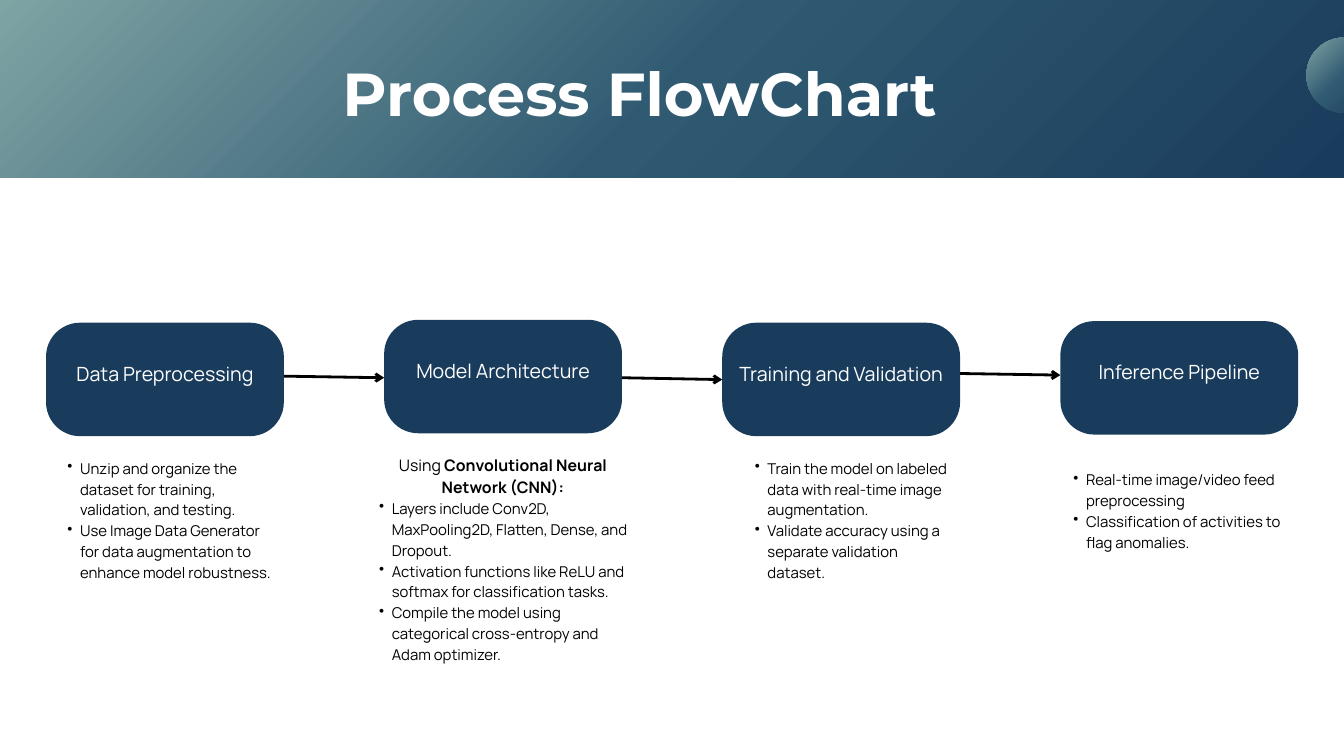
from copy import deepcopy
from dataclasses import dataclass

from lxml import etree
from pptx import Presentation
from pptx.dml.color import RGBColor
from pptx.enum.shapes import MSO_CONNECTOR, MSO_SHAPE
from pptx.enum.text import MSO_ANCHOR, PP_ALIGN
from pptx.oxml.ns import qn
from pptx.util import Cm, Pt

RECTANGLE, ROUNDED, OVAL = MSO_SHAPE.RECTANGLE, MSO_SHAPE.ROUNDED_RECTANGLE, MSO_SHAPE.OVAL
STRAIGHT = MSO_CONNECTOR.STRAIGHT
MIDDLE, TOP = MSO_ANCHOR.MIDDLE, MSO_ANCHOR.TOP
CENTER, LEFT = PP_ALIGN.CENTER, PP_ALIGN.LEFT


@dataclass(frozen=True)
class Theme:
    navy: RGBColor = RGBColor(0x1A, 0x3C, 0x5C)
    teal: RGBColor = RGBColor(0x30, 0x5A, 0x72)
    sage: RGBColor = RGBColor(0x7F, 0xA4, 0xA4)
    white: RGBColor = RGBColor(255, 255, 255)
    black: RGBColor = RGBColor(0, 0, 0)
    heading_font: str = "Montserrat"
    body_font: str = "Manrope"
    title: float = 65
    step: float = 21
    intro: float = 17
    detail: float = 16


theme = Theme()


def prepare_frame(shape, anchor=TOP, bottom=0):
    frame = shape.text_frame
    layout = dict(word_wrap=True, vertical_anchor=anchor, margin_left=0,
                  margin_right=0, margin_top=0, margin_bottom=Cm(bottom))
    for name, value in layout.items():
        setattr(frame, name, value)
    return frame


def write(paragraph, runs, size, color, spacing, font=theme.body_font, align=CENTER):
    paragraph.alignment = align
    paragraph.line_spacing = Pt(spacing)
    for text, bold in runs:
        run = paragraph.add_run()
        run.text = text
        for name, value in dict(name=font, size=Pt(size), bold=bold).items():
            setattr(run.font, name, value)
        run.font.color.rgb = color


prs = Presentation()
prs.slide_width, prs.slide_height = Cm(50.8), Cm(28.58)
slide = prs.slides.add_slide(prs.slide_layouts[6])
shapes = slide.shapes

for kind, *place in [(RECTANGLE, 0, 0, 50.8, 6.73), (OVAL, 49.38, 1.42, 2.84, 2.84)]:
    banner = shapes.add_shape(kind, *map(Cm, place))
    banner.shadow.inherit = False
    banner.line.fill.background()
    banner.fill.gradient()
    banner.fill.gradient_angle = 315
    stop_list = banner.fill._fill._gradFill.find(qn("a:gsLst"))
    stop_list.insert(1, deepcopy(stop_list[0]))
    stops = zip(banner.fill.gradient_stops, (0, 0.5, 1), (theme.sage, theme.teal, theme.navy))
    for stop, position, color in stops:
        stop.position = position
        stop.color.rgb = color

title = shapes.add_textbox(Cm(12.9), Cm(2.31), Cm(22.56), Cm(2.62))
write(prepare_frame(title).paragraphs[0], [("Process FlowChart", True)],
      theme.title, theme.white, 72.8, theme.heading_font)

first_left, step_pitch, step_width, step_height = 1.74, 12.78, 8.99, 4.29
steps = [
    ("Data Preprocessing", 12.2),
    ("Model Architecture", 12.09),
    ("Training and Validation", 12.2),
    ("Inference Pipeline", 12.14),
]
for index, (label, top) in enumerate(steps):
    left = first_left + index * step_pitch
    step = shapes.add_shape(ROUNDED, Cm(left), Cm(top), Cm(step_width), Cm(step_height))
    step.adjustments[0] = 0.3
    step.shadow.inherit = False
    step.fill.solid()
    step.fill.fore_color.rgb = theme.navy
    step.line.fill.background()
    write(prepare_frame(step, MIDDLE, 0.62).paragraphs[0], [(label, None)],
          theme.step, theme.white, 29.4)

for index, (start, end) in enumerate([(14.22, 14.28), (14.28, 14.35), (14.12, 14.18)]):
    left = first_left + index * step_pitch
    arrow = shapes.add_connector(STRAIGHT, Cm(left + step_width), Cm(start),
                                 Cm(left + step_pitch), Cm(end))
    arrow.line.color.rgb = theme.black
    arrow.line.width = Pt(3)
    etree.SubElement(arrow.line._get_or_add_ln(), qn("a:tailEnd"), type="arrow")
    etree.SubElement(arrow._element.spPr, qn("a:effectLst"))

details = [
    ((2.06, 17.25, 8.33, 6.93), [], [
        "Unzip and organize the dataset for training, validation, and testing.",
        "Use Image Data Generator for data augmentation to enhance model robustness.",
    ]),
    ((13.84, 17.09, 10.34, 8.59),
     [("Using ", None), ("Convolutional Neural Network (CNN):", True)], [
        "Layers include Conv2D, MaxPooling2D, Flatten, Dense, and Dropout.",
        "Activation functions like ReLU and softmax for classification tasks.",
        "Compile the model using categorical cross-entropy and Adam optimizer.",
    ]),
    ((28.04, 17.25, 8.15, 5.38), [], [
        "Train the model on labeled data with real-time image augmentation.",
        "Validate accuracy using a separate validation dataset.",
    ]),
    ((40.08, 17.68, 8.69, 3.1), [], [
        "Real-time image/video feed preprocessing",
        "Classification of activities to flag anomalies.",
    ]),
]
for place, intro, points in details:
    frame = prepare_frame(shapes.add_textbox(*map(Cm, place)))
    paragraph = frame.paragraphs[0]
    if intro:
        write(paragraph, intro, theme.intro, theme.black, 23.8)
        paragraph = frame.add_paragraph()
    for index, point in enumerate(points):
        if index:
            paragraph = frame.add_paragraph()
        paragraph.level = 1
        properties = paragraph._p.get_or_add_pPr()
        properties.set("marL", str(Cm(0.97)))
        properties.set("indent", str(Cm(-0.48)))
        etree.SubElement(properties, qn("a:buChar"), char="•")
        write(paragraph, [(point, None)], theme.detail, theme.black, 22.4, align=LEFT)

prs.save("out.pptx")
